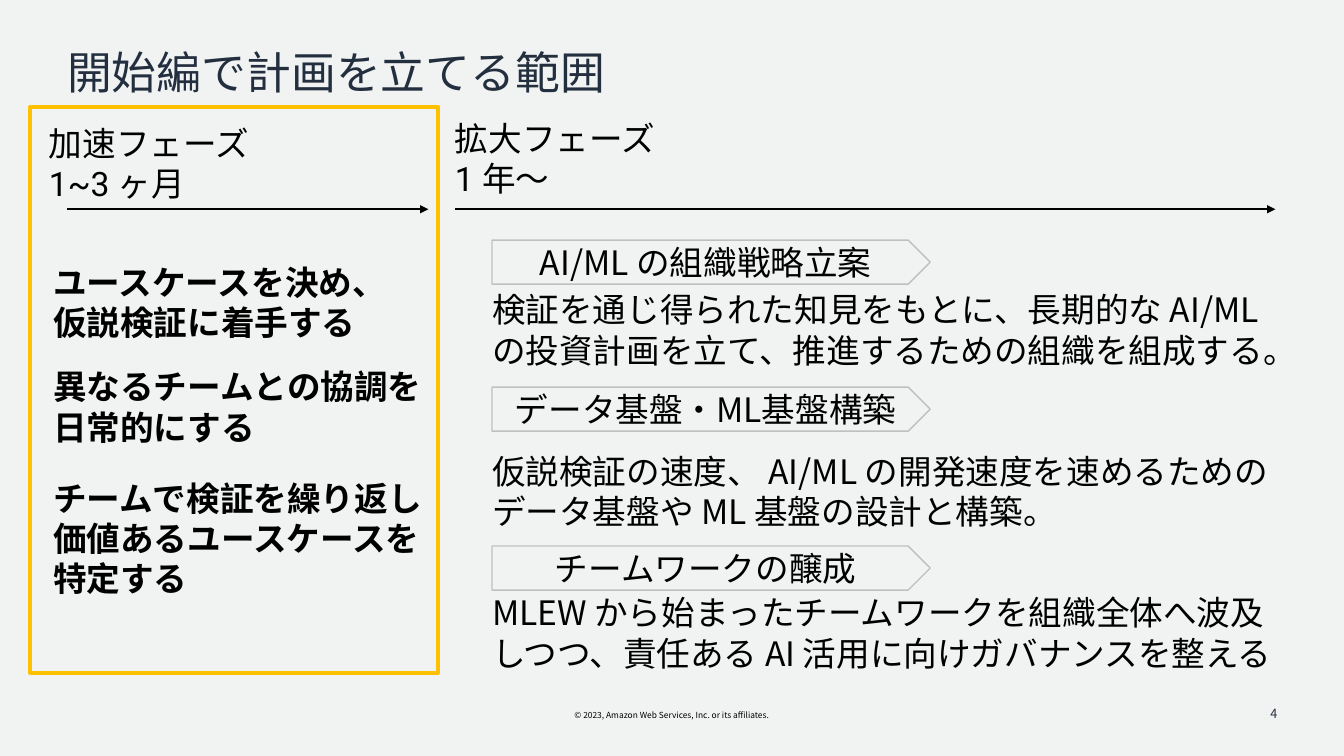
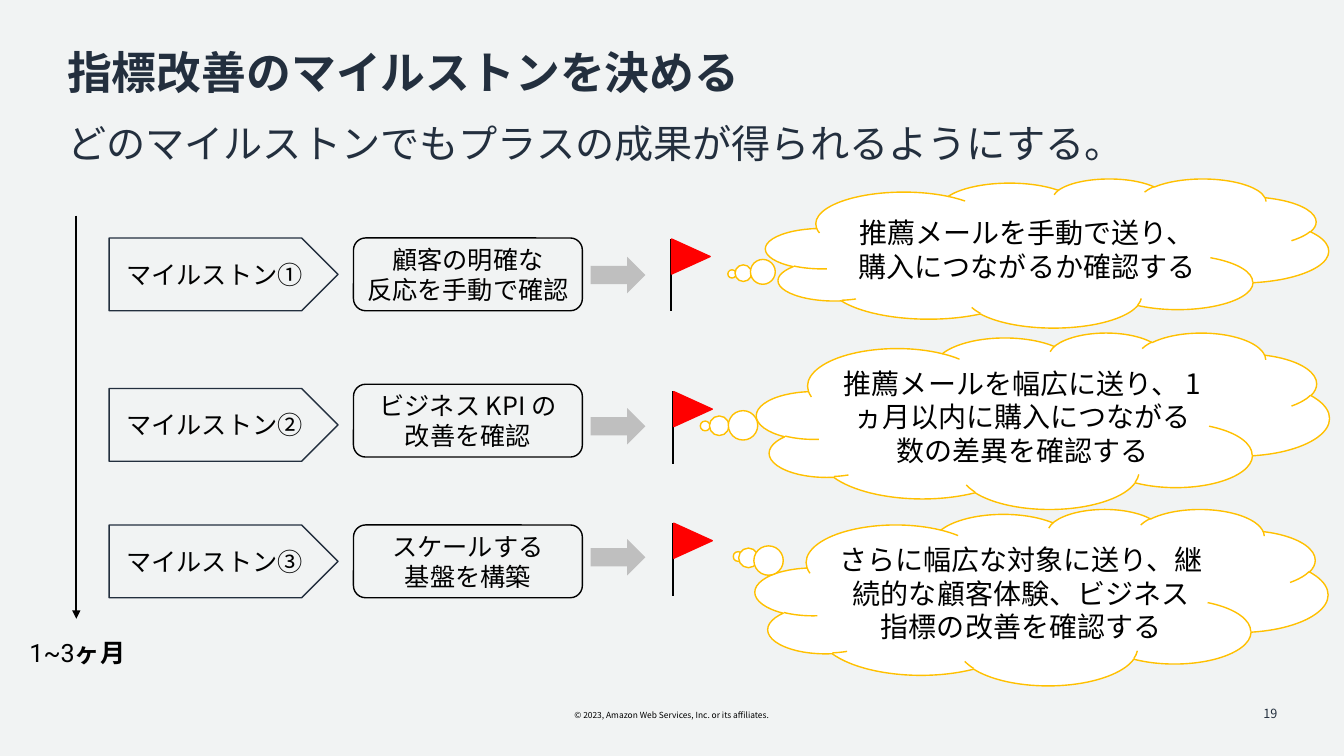
from dataclasses import dataclass

from lxml.etree import SubElement
from pptx import Presentation
from pptx.dml.color import RGBColor
from pptx.enum.shapes import MSO_CONNECTOR, MSO_SHAPE as Shape
from pptx.enum.text import MSO_ANCHOR as Anchor, PP_ALIGN as Align
from pptx.oxml.ns import qn
from pptx.shapes.autoshape import Shape as AutoShape
from pptx.slide import Slide
from pptx.text.text import TextFrame
from pptx.util import Pt


@dataclass(frozen=True)
class Theme:
    font: str = "Noto Sans CJK JP"
    digits: str = "Roboto"
    paper: str = "F1F3F3"
    ink: str = "232F3E"
    text: str = "000000"
    grey: str = "BFBFBF"
    accent: str = "FFC000"
    flag: str = "FF0000"
    bubble: str = "FFFFFF"
    title: float = 32
    subtitle: float = 28
    body: float = 24
    cloud: float = 20
    label: float = 18
    number: float = 9
    footer: float = 6


THEME = Theme()


@dataclass(frozen=True)
class Box:
    left: float
    top: float
    width: float
    height: float


@dataclass(frozen=True)
class Style:
    size: float
    color: str = THEME.text
    bold: bool = False
    align: Align = Align.LEFT
    spacing: float | None = None


@dataclass(frozen=True)
class Span:
    text: str
    font: str | None = None
    bold: bool | None = None


@dataclass(frozen=True)
class Phase:
    name: str
    count: str
    unit: str
    box: Box
    arrow_end: float
    arrow_start: float


@dataclass(frozen=True)
class Goal:
    text: str
    top: float
    height: float


@dataclass(frozen=True)
class Initiative:
    heading: str
    detail: str
    top: float
    detail_top: float
    detail_width: float


@dataclass(frozen=True)
class Milestone:
    name: str
    action: str
    outcome: str
    name_top: float
    action_top: float
    arrow_top: float
    pole_left: float
    pole_top: float
    cloud: Box
    tail: tuple[float, float]


BODY = Style(THEME.body)
BODY_BOLD = Style(THEME.body, bold=True)
BODY_CENTER = Style(THEME.body, align=Align.CENTER)
LABEL = Style(THEME.label, align=Align.CENTER)
CLOUD = Style(THEME.cloud, align=Align.CENTER)

PHASES = [
    Phase("加速フェーズ", "1~3 ", "ヶ月", Box(35, 84, 274, 65.5), 306, 48),
    Phase("拡大フェーズ", "1 ", "年～", Box(325, 80.5, 356, 65.5), 911, 325),
]
GOALS = [
    Goal("ユースケースを決め、\n仮説検証に着手する", 183.5, 65.5),
    Goal("異なるチームとの協調を日常的にする", 258, 65.5),
    Goal("チームで検証を繰り返し価値あるユースケースを特定する", 337.5, 94.5),
]
INITIATIVES = [
    Initiative(
        "AI/ML の組織戦略立案",
        "検証を通じ得られた知見をもとに、長期的な AI/ML の投資計画を立て、推進するための組織を組成する。",
        171.5, 203, 567.5,
    ),
    Initiative(
        "データ基盤・ML基盤構築",
        "仮説検証の速度、 AI/ML の開発速度を速めるためのデータ基盤や ML 基盤の設計と構築。",
        276.5, 318.5, 559.5,
    ),
    Initiative(
        "チームワークの醸成",
        "MLEW から始まったチームワークを組織全体へ波及しつつ、責任ある AI 活用に向けガバナンスを整える",
        390, 419.5, 570.5,
    ),
]
MILESTONES = [
    Milestone(
        "マイルストン①", "顧客の明確な\n反応を手動で確認",
        "推薦メールを手動で送り、購入につながるか確認する",
        170, 170, 183.5, 479.5, 170.5,
        Box(547, 127.5, 402, 106.5), (-0.56, 0.14),
    ),
    Milestone(
        "マイルストン②", "ビジネス KPI の\n改善を確認",
        "推薦メールを幅広に送り、 1 ヵ月以内に購入につながる数の差異を確認する",
        277.5, 274.5, 291.5, 481, 279.5,
        Box(540.5, 237.5, 409, 126), (-0.59, 0.03),
    ),
    Milestone(
        "マイルストン③", "スケールする\n基盤を構築",
        "さらに幅広な対象に送り、継続的な顧客体験、ビジネス指標の改善を確認する",
        375, 375, 385, 481, 373.5,
        Box(539.5, 363.5, 409, 126), (-0.53, -0.23),
    ),
]


def rgb(value: str) -> RGBColor:
    return RGBColor.from_string(value)


def write(frame: TextFrame, paragraphs: list[list[Span]], style: Style) -> None:
    for index, spans in enumerate(paragraphs):
        paragraph = frame.paragraphs[0] if index == 0 else frame.add_paragraph()
        paragraph.alignment = style.align
        if style.spacing:
            paragraph.line_spacing = style.spacing
        font = paragraph.font
        font.size = Pt(style.size)
        font.bold = style.bold
        font.color.rgb = rgb(style.color)
        font.name = THEME.font
        defaults = paragraph._p.pPr.find(qn("a:defRPr"))
        SubElement(defaults, qn("a:ea")).set("typeface", THEME.font)
        for span in spans:
            for line_index, line in enumerate(span.text.split("\n")):
                if line_index:
                    paragraph.add_line_break()
                run = paragraph.add_run()
                run.text = line
                if span.font:
                    run.font.name = span.font
                if span.bold is not None:
                    run.font.bold = span.bold


def add_text(
    slide: Slide, box: Box, paragraphs: list[list[Span]], style: Style,
    anchor: Anchor = Anchor.TOP, side: float = 0, wrap: bool = True,
) -> None:
    frame = slide.shapes.add_textbox(
        Pt(box.left), Pt(box.top), Pt(box.width), Pt(box.height)
    ).text_frame
    frame.word_wrap = wrap
    frame.vertical_anchor = anchor
    frame.margin_left = frame.margin_right = Pt(side)
    frame.margin_top = frame.margin_bottom = Pt(3.6)
    write(frame, paragraphs, style)


def add_figure(
    slide: Slide, kind: Shape, box: Box, fill: str | None = None,
    line: str | None = None, weight: float = 1,
    text: str = "", style: Style = LABEL,
) -> AutoShape:
    figure = slide.shapes.add_shape(
        kind, Pt(box.left), Pt(box.top), Pt(box.width), Pt(box.height)
    )
    figure.shadow.inherit = False
    if fill:
        figure.fill.solid()
        figure.fill.fore_color.rgb = rgb(fill)
    else:
        figure.fill.background()
    if line:
        figure.line.color.rgb = rgb(line)
        figure.line.width = Pt(weight)
    else:
        figure.line.fill.background()
    if text:
        frame = figure.text_frame
        frame.word_wrap = True
        frame.vertical_anchor = Anchor.MIDDLE
        frame.margin_left = frame.margin_right = Pt(3.6)
        frame.margin_top = frame.margin_bottom = Pt(3.6)
        write(frame, [[Span(text)]], style)
    return figure


def add_line(
    slide: Slide, x1: float, y1: float, x2: float, y2: float, arrow: bool = True
) -> None:
    line = slide.shapes.add_connector(
        MSO_CONNECTOR.STRAIGHT, Pt(x1), Pt(y1), Pt(x2), Pt(y2)
    )
    line.line.color.rgb = rgb(THEME.text)
    line.line.width = Pt(1.5)
    if arrow:
        SubElement(line.line._get_or_add_ln(), qn("a:tailEnd")).set("type", "triangle")
    SubElement(line._element.spPr, qn("a:effectLst"))


def add_page(deck: Presentation, title: str, number: int, bold: bool = False) -> Slide:
    slide = deck.slides.add_slide(deck.slide_layouts[6])
    slide.background.fill.solid()
    slide.background.fill.fore_color.rgb = rgb(THEME.paper)
    add_text(slide, Box(395.5, 503.5, 168.5, 14.5),
             [[Span("© 2023, Amazon Web Services, Inc. or its affiliates.")]],
             Style(THEME.footer, align=Align.CENTER), side=7.2, wrap=False)
    add_text(slide, Box(48, 33, 862.5, 43), [[Span(title)]],
             Style(THEME.title, THEME.ink, bold, spacing=0.9))
    add_text(slide, Box(703.5, 495.5, 216, 28.5), [[Span(str(number))]],
             Style(THEME.number, THEME.ink, align=Align.RIGHT), Anchor.MIDDLE, 7.2)
    return slide


def build_scope(deck: Presentation) -> None:
    slide = add_page(deck, "開始編で計画を立てる範囲", 4)
    for phase in PHASES:
        add_line(slide, phase.arrow_start, 149.5, phase.arrow_end, 149.5)
        add_text(slide, phase.box,
                 [[Span(phase.name)], [Span(phase.count, THEME.digits), Span(phase.unit)]],
                 BODY)
    for goal in GOALS:
        add_text(slide, Box(38, goal.top, 268.5, goal.height), [[Span(goal.text)]], BODY_BOLD)
    for item in INITIATIVES:
        add_text(slide, Box(351.5, item.detail_top, item.detail_width, 65.5),
                 [[Span(item.detail)]], BODY)
        add_figure(slide, Shape.PENTAGON, Box(351.5, item.top, 313, 31.5),
                   line=THEME.grey, text=item.heading, style=BODY_CENTER)
    add_figure(slide, Shape.RECTANGLE, Box(21.5, 76.5, 291.5, 404),
               line=THEME.accent, weight=3)


def add_milestone(slide: Slide, step: Milestone) -> None:
    add_figure(slide, Shape.PENTAGON, Box(78, step.name_top, 163.5, 52),
               line=THEME.ink, text=step.name)
    add_figure(slide, Shape.ROUNDED_RECTANGLE, Box(252.5, step.action_top, 163.5, 52),
               line=THEME.text, text=step.action)
    add_figure(slide, Shape.RIGHT_ARROW, Box(422, step.arrow_top, 39, 26), fill=THEME.grey)
    add_line(slide, step.pole_left, step.pole_top, step.pole_left, step.pole_top + 52, False)
    flag = add_figure(slide, Shape.ISOSCELES_TRIANGLE,
                      Box(step.pole_left + 1.5, step.pole_top - 1, 25, 27.5),
                      THEME.flag, THEME.flag)
    flag.rotation = 90
    cloud = add_figure(slide, Shape.CLOUD_CALLOUT, step.cloud, THEME.bubble,
                       THEME.accent, text=step.outcome, style=CLOUD)
    cloud.adjustments[0], cloud.adjustments[1] = step.tail


def build_milestones(deck: Presentation) -> None:
    slide = add_page(deck, "指標改善のマイルストンを決める", 19, bold=True)
    add_text(slide, Box(48, 85.5, 864, 39),
             [[Span("どのマイルストンでもプラスの成果が得られるようにする。")]],
             Style(THEME.subtitle, THEME.ink, spacing=0.9))
    add_line(slide, 54.5, 154, 54.5, 442)
    add_text(slide, Box(11, 451.5, 88.5, 29),
             [[Span("1~3", THEME.digits), Span("ヶ月", bold=True)]], LABEL)
    for step in MILESTONES:
        add_milestone(slide, step)


def main() -> None:
    deck = Presentation()
    deck.slide_width, deck.slide_height = Pt(960), Pt(540)
    build_scope(deck)
    build_milestones(deck)
    deck.save("out.pptx")


if __name__ == "__main__":
    main()
